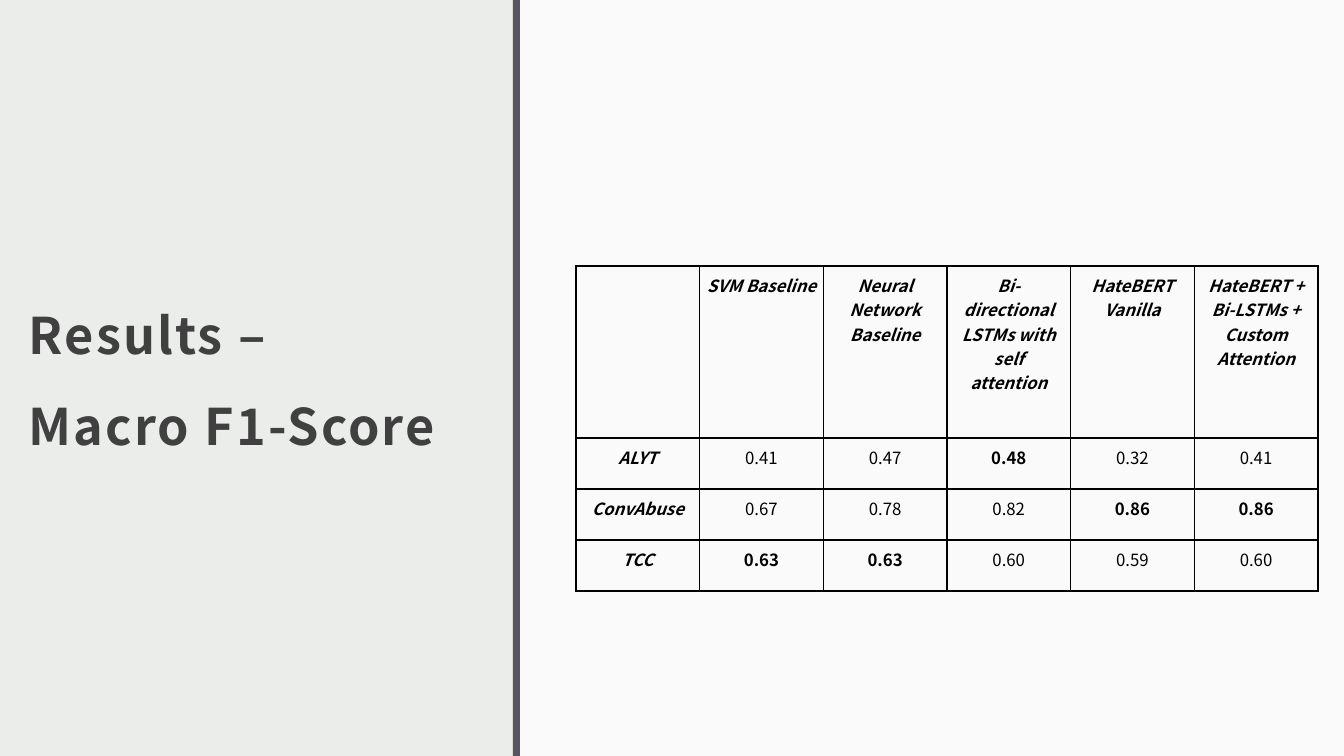
"""Build the macro F1-score results slide."""
from lxml import etree
from pptx import Presentation
from pptx.dml.color import RGBColor
from pptx.enum.shapes import MSO_SHAPE
from pptx.enum.text import MSO_ANCHOR, MSO_AUTO_SIZE, PP_ALIGN
from pptx.oxml.ns import qn
from pptx.util import Emu, Pt

RECT = MSO_SHAPE.RECTANGLE
MIDDLE = MSO_ANCHOR.MIDDLE
NO_FIT = MSO_AUTO_SIZE.NONE
LEFT, CENTER = PP_ALIGN.LEFT, PP_ALIGN.CENTER

TITLE = ["Results –", "Macro F1-Score"]
MODELS = [
    "SVM Baseline",
    "Neural Network Baseline",
    "Bi-directional LSTMs with self attention",
    "HateBERT Vanilla",
    "HateBERT + Bi-LSTMs + Custom Attention",
]
SCORES = {
    "ALYT": [0.41, 0.47, 0.48, 0.32, 0.41],
    "ConvAbuse": [0.67, 0.78, 0.82, 0.86, 0.86],
    "TCC": [0.63, 0.63, 0.60, 0.59, 0.60],
}

FONT = "Noto Sans CJK JP"
BLACK, WHITE, DARK = "000000", "FFFFFF", "404040"
BACKGROUND, DIVIDER = "EBEDEB", "595460"
SLIDE_W, SLIDE_H = 1344, 756
PANEL_X, DIVIDER_W = 520, 7
TITLE_BOX = (17, 78, 484, 572)
TITLE_INSET = 12
TABLE_X, TABLE_Y, TABLE_W = 576, 266, 742
HEADER_H, ROW_H, CELL_INSET = 172, 51, 7


def px(n):
    return Emu(round(n * 12192000 / SLIDE_W))


def rgb(color):
    return RGBColor.from_string(color)


def add_run(p, text, size, color, bold=False, italic=False):
    r = p.add_run()
    r.text = text
    f = r.font
    f.name, f.size, f.bold, f.italic = FONT, Pt(size), bold, italic
    f.color.rgb = rgb(color)
    for tag in ("a:ea", "a:cs"):
        etree.SubElement(r._r.get_or_add_rPr(), qn(tag), typeface=FONT)
    return r


def add_rect(s, x, w, color):
    sp = s.shapes.add_shape(RECT, px(x), 0, px(w), px(SLIDE_H))
    sp.shadow.inherit = False
    sp.fill.solid()
    sp.fill.fore_color.rgb = rgb(color)
    sp.line.fill.background()
    return sp


def add_panel(s):
    panel = add_rect(s, PANEL_X, SLIDE_W - PANEL_X, WHITE)
    fill_color = panel._element.spPr.find(".//" + qn("a:srgbClr"))
    etree.SubElement(fill_color, qn("a:alpha"), val="75000")
    add_rect(s, PANEL_X - DIVIDER_W, DIVIDER_W, DIVIDER)


def set_title(s):
    sp = s.shapes.title
    sp.left, sp.top, sp.width, sp.height = map(px, TITLE_BOX)
    tf = sp.text_frame
    tf.auto_size, tf.word_wrap, tf.vertical_anchor = NO_FIT, True, MIDDLE
    tf.margin_left = tf.margin_right = tf.margin_top = px(TITLE_INSET)
    tf.margin_bottom = px(10)
    p = tf.paragraphs[0]
    p.alignment, p.line_spacing = LEFT, 1.5
    for i, line in enumerate(TITLE):
        if i:
            p.add_line_break()
        r = add_run(p, line, 36, DARK, bold=True)
        r._r.get_or_add_rPr().set("spc", "150")


def format_cell(cell):
    tcPr = cell._tc.get_or_add_tcPr()
    for side in "LRTB":
        ln = etree.SubElement(tcPr, qn("a:ln" + side), w=str(Pt(1)))
        fill = etree.SubElement(ln, qn("a:solidFill"))
        etree.SubElement(fill, qn("a:srgbClr"), val=BLACK)
    cell.fill.background()
    cell.margin_left = cell.margin_right = px(CELL_INSET)
    cell.margin_top = cell.margin_bottom = px(CELL_INSET)


def add_scores(s):
    rows = [["", *MODELS]]
    rows += [[name, *values] for name, values in SCORES.items()]
    heights = [HEADER_H] + [ROW_H] * len(SCORES)
    n_cols = len(rows[0])
    table = s.shapes.add_table(len(rows), n_cols, px(TABLE_X), px(TABLE_Y),
                               px(TABLE_W), px(sum(heights))).table
    table.first_row = table.horz_banding = False
    for col in table.columns:
        col.width = px(TABLE_W / n_cols)
    for i, (row, height) in enumerate(zip(rows, heights)):
        table.rows[i].height = px(height)
        for j, value in enumerate(row):
            cell = table.cell(i, j)
            format_cell(cell)
            p = cell.text_frame.paragraphs[0]
            p.alignment = CENTER
            heading = i == 0 or j == 0
            if heading and value:
                add_run(p, value, 12, BLACK, bold=True, italic=True)
            elif not heading:
                best = value == max(row[1:])
                add_run(p, f"{value:.2f}", 12, BLACK, bold=best)


def main():
    prs = Presentation()
    prs.slide_width, prs.slide_height = px(SLIDE_W), px(SLIDE_H)
    s = prs.slides.add_slide(prs.slide_layouts[5])
    s.background.fill.solid()
    s.background.fill.fore_color.rgb = rgb(BACKGROUND)
    add_panel(s)
    set_title(s)
    add_scores(s)
    prs.save("out.pptx")


if __name__ == "__main__":
    main()
